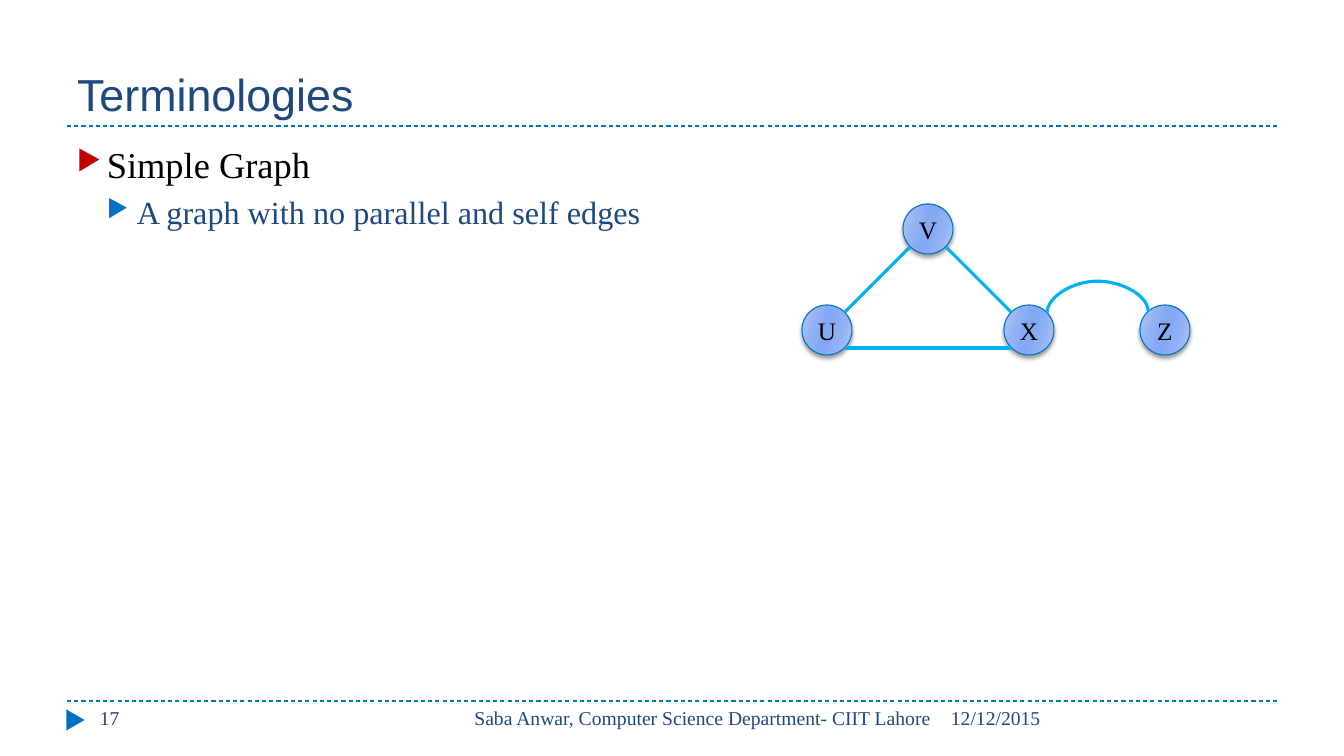
from lxml import etree
from pptx import Presentation
from pptx.dml.color import RGBColor
from pptx.enum.dml import MSO_LINE
from pptx.enum.shapes import MSO_CONNECTOR, MSO_SHAPE
from pptx.enum.text import MSO_ANCHOR, PP_ALIGN
from pptx.oxml import parse_xml
from pptx.oxml.ns import qn
from pptx.util import Pt

STRAIGHT, CURVE = MSO_CONNECTOR.STRAIGHT, MSO_CONNECTOR.CURVE
LEFT, CENTER, RIGHT = PP_ALIGN.LEFT, PP_ALIGN.CENTER, PP_ALIGN.RIGHT
TOP, MIDDLE, BOTTOM = MSO_ANCHOR.TOP, MSO_ANCHOR.MIDDLE, MSO_ANCHOR.BOTTOM
NAVY = RGBColor(0x1F, 0x49, 0x7D)
BLUE = RGBColor(0x00, 0x70, 0xC0)
SKY = RGBColor(0x00, 0xB0, 0xF0)
RED = RGBColor(0xC0, 0x00, 0x00)
BLACK = RGBColor(0x00, 0x00, 0x00)
SERIF, SANS = "Times New Roman", "Arial"
NAMESPACE = 'xmlns:a="http://schemas.openxmlformats.org/drawingml/2006/main"'

# Content, lengths in px
TITLE = "Terminologies"
BULLETS = [  # text, size, colour, bullet colour, space before
    ("Simple Graph", 26, BLACK, RED, 0),
    ("A graph with no parallel and self edges", 23, NAVY, BLUE, 5),
]
FOOTERS = [  # text, left, width, alignment
    ("12/12/2015", 941, 336, LEFT),
    ("Saba Anwar, Computer Science Department- CIIT Lahore", 426, 515, RIGHT),
    ("17", 90, 291, LEFT),
]
RULES = [701, 126]
NODES = {"X": (1004, 305), "U": (802, 305), "V": (903, 204), "Z": (1140, 305)}
NODE_SIZE = 50
NEAR, FAR = 7, 43  # where edges meet a node, from its left or top
EDGES = [  # node, offset in it, node, offset in it
    ("V", (NEAR, FAR), "U", (FAR, NEAR)),
    ("X", (NEAR, FAR), "U", (FAR, FAR)),
    ("V", (FAR, FAR), "X", (NEAR, NEAR)),
]
ARC_START, ARC_END, ARC_TOP = (1047, 313), (1148, 311), 281
GRADIENT = [(0, "B4C9F6"), (30, "90B1F4"), (45, "83A9F4"),
            (55, "83A9F4"), (73, "90B1F4"), (100, "B4C9F6")]


def px(length):
    return round(length * 914400 / 100.8)


def write(frame, text, size=14, color=NAVY, font=SERIF, align=LEFT,
          anchor=TOP, wrap=True, bullet=None, level=0, before=0, new=False):
    frame.word_wrap, frame.vertical_anchor = wrap, anchor
    paragraph = frame.add_paragraph() if new else frame.paragraphs[0]
    paragraph.alignment, paragraph.level = align, level
    paragraph.space_before = Pt(before)
    if bullet is not None:
        properties = paragraph._p.get_or_add_pPr()
        properties.set("marL", str(px(30 * (level + 1))))
        properties.set("indent", str(px(-30)))
        color_element = etree.SubElement(properties, qn("a:buClr"))
        etree.SubElement(color_element, qn("a:srgbClr"), val=str(bullet))
        etree.SubElement(properties, qn("a:buSzPct"), val="76000")
        etree.SubElement(properties, qn("a:buChar"), char="▶")
    run = paragraph.add_run()
    run.text = text
    run.font.size, run.font.name = Pt(size), font
    run.font.color.rgb = color


def add_line(slide, start, end, color, width, kind=STRAIGHT):
    line = slide.shapes.add_connector(kind, *map(px, (*start, *end)))
    line.line.color.rgb, line.line.width = color, Pt(width)
    etree.SubElement(line._element.spPr, qn("a:effectLst"))
    return line


def add_node(slide, name, left, top):
    node = slide.shapes.add_shape(MSO_SHAPE.OVAL, px(left), px(top),
                                  px(NODE_SIZE), px(NODE_SIZE))
    node.line.color.rgb, node.line.width = BLUE, Pt(0.75)
    stops = "".join(f'<a:gs pos="{position * 1000}"><a:srgbClr val="{color}"/></a:gs>'
                    for position, color in GRADIENT)
    properties = node._element.spPr
    properties.find(qn("a:prstGeom")).addnext(parse_xml(
        f'<a:gradFill {NAMESPACE}><a:gsLst>{stops}</a:gsLst>'
        '<a:lin ang="960000" scaled="0"/></a:gradFill>'))
    properties.append(parse_xml(
        f'<a:effectLst {NAMESPACE}><a:outerShdw blurRad="{Pt(3)}" dist="{Pt(2)}" '
        'dir="5400000" rotWithShape="0"><a:srgbClr val="000000">'
        '<a:alpha val="40000"/></a:srgbClr></a:outerShdw></a:effectLst>'))
    write(node.text_frame, name, size=18, color=BLACK, align=CENTER,
          anchor=MIDDLE, wrap=False)


def add_arc(slide):
    # A curved connector turned a quarter, bulging upwards
    (x1, y1), (x2, y2) = ARC_START, ARC_END
    width, height = y1 - y2, x2 - x1
    left, top = (x1 + x2 - width) / 2, (y1 + y2 - height) / 2
    arc = add_line(slide, (left, top), (left + width, top + height), SKY, 2.25, CURVE)
    properties = arc._element.spPr
    for name, value in (("rot", "5400000"), ("flipH", "1"), ("flipV", "1")):
        properties.find(qn("a:xfrm")).set(name, value)
    bulge = round((y1 - ARC_TOP) / width * 100000)
    adjustments = properties.find(qn("a:prstGeom")).get_or_add_avLst()
    etree.SubElement(adjustments, qn("a:gd"), name="adj1", fmla=f"val {bulge}")


def main():
    presentation = Presentation()
    presentation.slide_width, presentation.slide_height = px(1344), px(756)
    slide = presentation.slides.add_slide(presentation.slide_layouts[5])

    # Rules and page marker
    for y in RULES:
        add_line(slide, (67, y), (1277, y), BLUE, 0.75).line.dash_style = MSO_LINE.DASH
    marker = slide.shapes.add_shape(MSO_SHAPE.ISOSCELES_TRIANGLE,
                                    px(65), px(711), px(21), px(18))
    marker.rotation = 90
    marker.shadow.inherit = False
    marker.fill.solid()
    marker.fill.fore_color.rgb = BLUE
    marker.line.fill.background()

    # Title
    title = slide.shapes.title
    title.left, title.top, title.width, title.height = map(px, (67, 17, 1210, 109))
    write(title.text_frame, TITLE, size=32, font=SANS, anchor=BOTTOM)

    # Footer
    for text, left, width, align in FOOTERS:
        box = slide.shapes.add_textbox(px(left), px(701), px(width), px(40))
        write(box.text_frame, text, align=align)

    # Bullets
    body = slide.shapes.add_textbox(px(67), px(137), px(1210), px(541))
    for level, (text, size, color, bullet, before) in enumerate(BULLETS):
        write(body.text_frame, text, size=size, color=color, bullet=bullet,
              level=level, before=before, new=level > 0)

    # Graph
    for name, (left, top) in NODES.items():
        add_node(slide, name, left, top)
    for first, (dx1, dy1), second, (dx2, dy2) in EDGES:
        (x1, y1), (x2, y2) = NODES[first], NODES[second]
        add_line(slide, (x1 + dx1, y1 + dy1), (x2 + dx2, y2 + dy2), SKY, 2.25)
    add_arc(slide)

    presentation.save("out.pptx")


if __name__ == "__main__":
    main()
